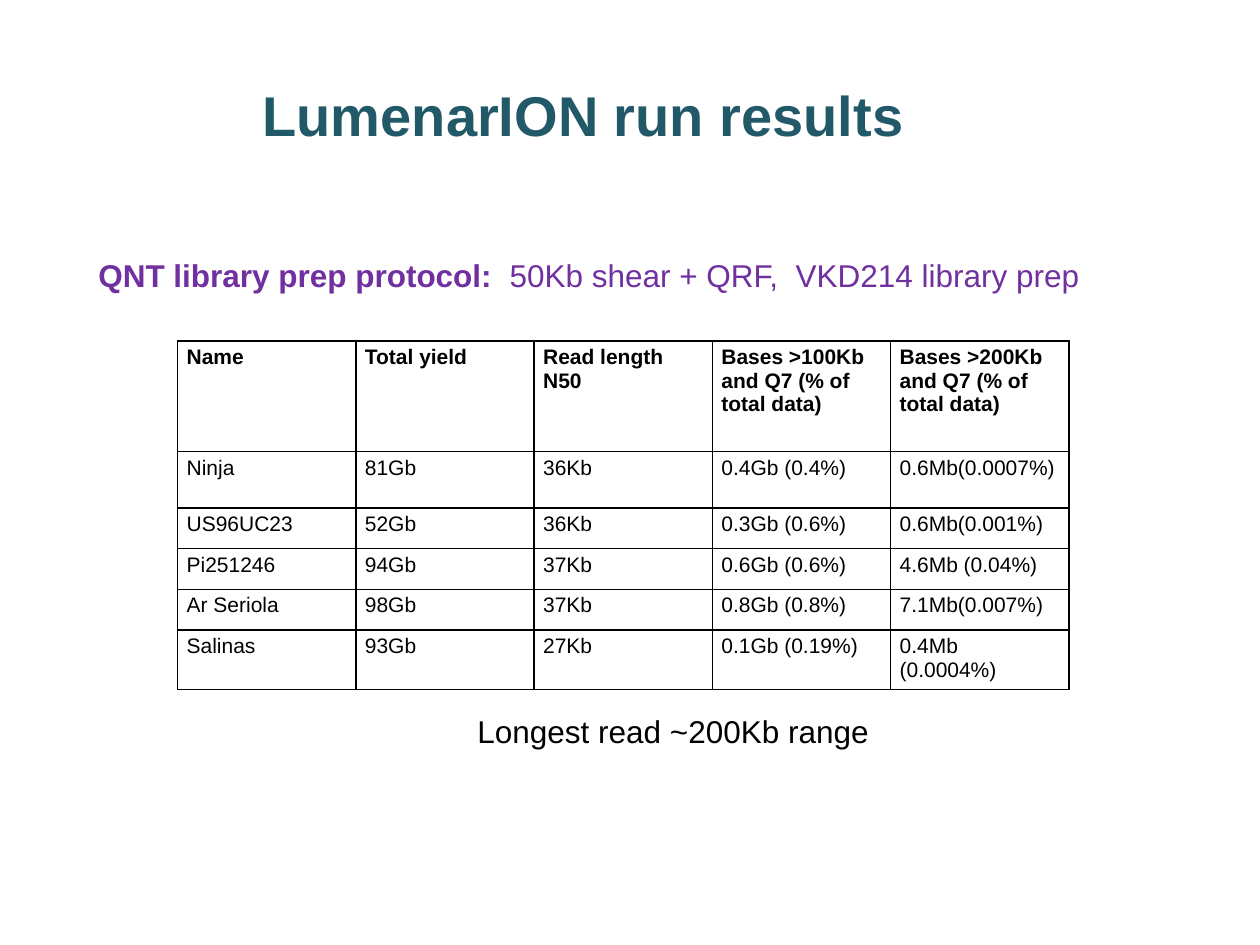
from lxml import etree
from pptx import Presentation
from pptx.dml.color import RGBColor
from pptx.enum import text
from pptx.oxml import ns
from pptx.util import Pt

BLACK = RGBColor(0x00, 0x00, 0x00)
TEAL = RGBColor(0x21, 0x59, 0x68)
PURPLE = RGBColor(0x70, 0x30, 0xA0)
FONT = "Arial"

TITLE = [("LumenarION run results", True)]
PROTOCOL = [("QNT library prep protocol:  ", True),
            ("50Kb shear + QRF,  VKD214 library prep", False)]
LONGEST_READ = [("Longest read ~200Kb range", False)]
RUNS = [
    ("Name", "Total yield", "Read length N50",
     "Bases >100Kb and Q7 (% of total data)",
     "Bases >200Kb and Q7 (% of total data)"),
    ("Ninja", "81Gb", "36Kb", "0.4Gb (0.4%)", "0.6Mb(0.0007%)"),
    ("US96UC23", "52Gb", "36Kb", "0.3Gb (0.6%)", "0.6Mb(0.001%)"),
    ("Pi251246", "94Gb", "37Kb", "0.6Gb (0.6%)", "4.6Mb (0.04%)"),
    ("Ar Seriola", "98Gb", "37Kb", "0.8Gb (0.8%)", "7.1Mb(0.007%)"),
    ("Salinas", "93Gb", "27Kb", "0.1Gb (0.19%)", "0.4Mb (0.0004%)"),
]
ROW_HEIGHTS = [63, 32.4, 23.2, 23.2, 23.2, 33.9]
COLUMN_WIDTH = 101.85


def style(font, size, color, bold):
    font.name, font.size, font.bold = FONT, Pt(size), bold
    font.color.rgb = color


def add_label(slide, box, parts, size, color, wrap=False,
              align=text.PP_ALIGN.LEFT):
    frame = slide.shapes.add_textbox(*map(Pt, box)).text_frame
    frame.word_wrap = wrap
    frame.auto_size = text.MSO_AUTO_SIZE.SHAPE_TO_FIT_TEXT
    paragraph = frame.paragraphs[0]
    paragraph.alignment = align
    for words, bold in parts:
        run = paragraph.add_run()
        run.text = words
        style(run.font, size, color, bold)


def add_borders(cell):
    """Draw a 1 pt black line on all four sides; call before setting the fill."""
    properties = cell._tc.get_or_add_tcPr()
    for side in ("a:lnL", "a:lnR", "a:lnT", "a:lnB"):
        line = etree.SubElement(properties, ns.qn(side), w=str(Pt(1)))
        fill = etree.SubElement(line, ns.qn("a:solidFill"))
        etree.SubElement(fill, ns.qn("a:srgbClr"), val=str(BLACK))


def add_run_table(slide):
    columns = len(RUNS[0])
    table = slide.shapes.add_table(
        len(RUNS), columns, Pt(101.5), Pt(195),
        Pt(COLUMN_WIDTH * columns), Pt(sum(ROW_HEIGHTS))).table
    table.horz_banding = False
    for column in table.columns:
        column.width = Pt(COLUMN_WIDTH)
    for r, (values, height) in enumerate(zip(RUNS, ROW_HEIGHTS)):
        table.rows[r].height = Pt(height)
        for c, value in enumerate(values):
            cell = table.cell(r, c)
            cell.margin_left = cell.margin_right = Pt(5.2)
            cell.margin_top = cell.margin_bottom = Pt(2.6)
            add_borders(cell)
            cell.fill.background()
            cell.text_frame.text = value
            style(cell.text_frame.paragraphs[0].runs[0].font, 12, BLACK, r == 0)


def main():
    deck = Presentation()
    deck.slide_width, deck.slide_height = Pt(720), Pt(540)
    slide = deck.slides.add_slide(deck.slide_layouts[6])
    add_label(slide, (47.5, 142.6, 578, 29), PROTOCOL, 18, PURPLE,
              align=text.PP_ALIGN.CENTER)
    add_run_table(slide)
    add_label(slide, (143, 42.5, 424, 46), TITLE, 32, TEAL, wrap=True)
    add_label(slide, (265.7, 403.2, 245.5, 29), LONGEST_READ, 18, BLACK)
    deck.save("out.pptx")


if __name__ == "__main__":
    main()
